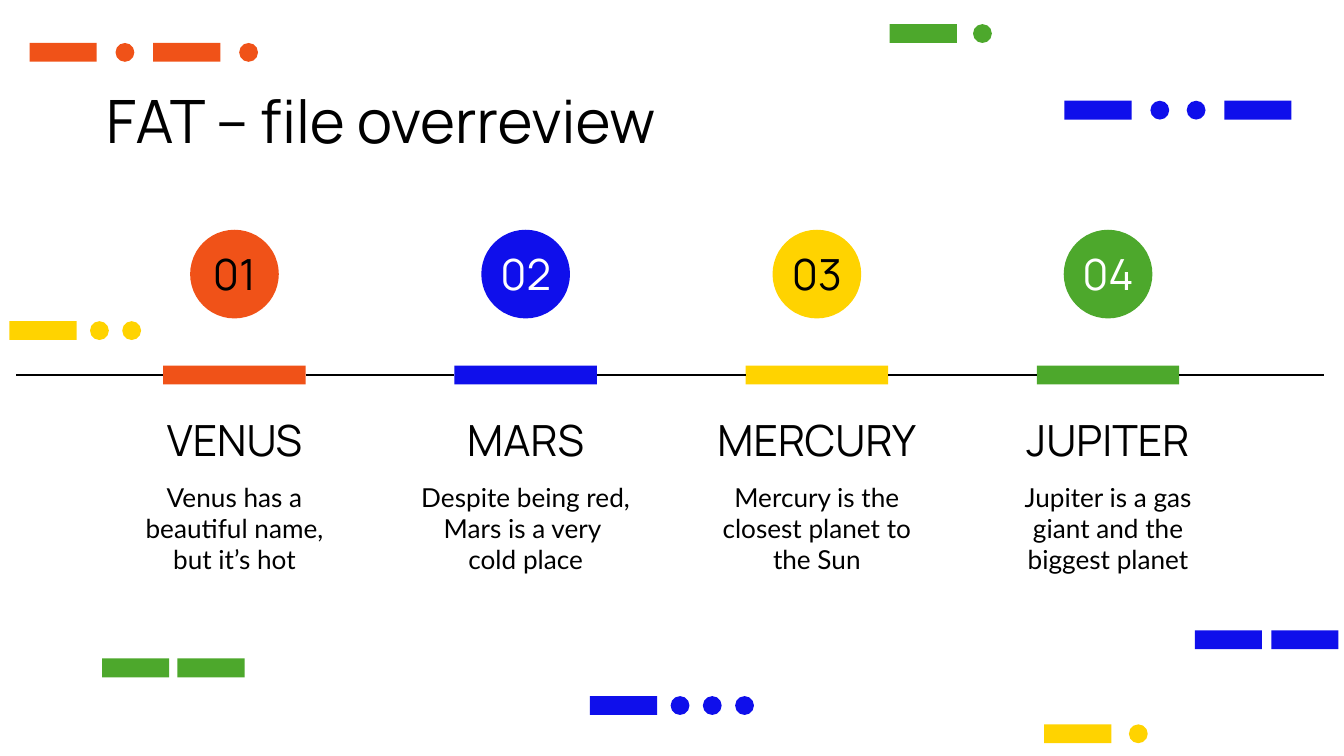
from pptx import Presentation
from pptx.dml.color import RGBColor
from pptx.enum import shapes, text
from pptx.oxml import parse_xml
from pptx.oxml.ns import nsdecls
from pptx.util import Inches, Pt

ORANGE, BLUE, YELLOW, GREEN = "F05218", "0F0FEB", "FFD300", "4DA82C"
BLACK, WHITE = "000000", "FFFFFF"
HEADING_FONT, BODY_FONT = "Manrope", "Lato"
RECTANGLE, OVAL = shapes.MSO_SHAPE.RECTANGLE, shapes.MSO_SHAPE.OVAL
TOP, MIDDLE = text.MSO_ANCHOR.TOP, text.MSO_ANCHOR.MIDDLE
LEFT, CENTER = text.PP_ALIGN.LEFT, text.PP_ALIGN.CENTER

PAGE_WIDTH = 10
PAGE_HEIGHT = PAGE_WIDTH * 9 / 16
DASH, DOT = 0.5, 0.14  # widths of the decorative marks
BAR_HEIGHT = 0.14
STEP_WIDTH, STEP_PITCH = 1.81, 6.5 / 3
LINE_START, LINE_END = 0.12, 9.85

# Number, colour, number colour, heading, heading width, description
STEPS = [
    ("01", ORANGE, BLACK, "VENUS", 1.81, "Venus has a beautiful name, but it’s hot"),
    ("02", BLUE, WHITE, "MARS", 1.81, "Despite being red, Mars is a very \ncold place"),
    ("03", YELLOW, BLACK, "MERCURY", 2.13, "Mercury is the closest planet to the Sun"),
    ("04", GREEN, WHITE, "JUPITER", 1.81, "Jupiter is a gas giant and the biggest planet"),
]

# Colour, top, and the marks as (left, width)
ORNAMENTS = [
    (GREEN, 4.9, [(0.76, DASH), (1.32, DASH)]),
    (YELLOW, 5.39, [(7.77, DASH), (8.4, DOT)]),
    (YELLOW, 2.39, [(0.07, DASH), (0.67, DOT), (0.91, DOT)]),
    (GREEN, 0.18, [(6.62, DASH), (7.24, DOT)]),
    (BLUE, 0.75, [(7.92, DASH), (8.56, DOT), (8.83, DOT), (9.11, DASH)]),
    (BLUE, 5.18, [(4.39, DASH), (4.99, DOT), (5.23, DOT), (5.47, DOT)]),
    (ORANGE, 0.32, [(0.22, DASH), (0.86, DOT), (1.14, DASH), (1.78, DOT)]),
    (BLUE, 4.69, [(8.89, DASH), (9.46, DASH)]),
]


def color(hex_string):
    return RGBColor.from_string(hex_string)


def inches(*lengths):
    return [Inches(length) for length in lengths]


def add_block(parent, kind, left, top, width, height, fill):
    block = parent.shapes.add_shape(kind, *inches(left, top, width, height))
    block.shadow.inherit = False
    block.fill.solid()
    block.fill.fore_color.rgb = color(fill)
    block.line.fill.background()
    return block


def write(box, content, size, font, fill=BLACK, align=CENTER, anchor=TOP, inset=0.1):
    frame = box.text_frame
    frame.text = content
    frame.word_wrap = True
    frame.auto_size = text.MSO_AUTO_SIZE.NONE
    frame.vertical_anchor = anchor
    frame.margin_left = Inches(inset)
    frame.margin_top = frame.margin_right = frame.margin_bottom = Inches(0.1)
    for para in frame.paragraphs:
        para.alignment = align
        for span in para.runs:
            span.font.size = Pt(size)
            span.font.name = font
            span.font.color.rgb = color(fill)


def add_text(page, left, top, width, height, content, size, font, **style):
    box = page.shapes.add_textbox(*inches(left, top, width, height))
    write(box, content, size, font, **style)


def add_title(page, left, top, width, height):
    title = page.shapes.title
    title.left, title.top, title.width, title.height = inches(left, top, width, height)
    write(title, "FAT – file overreview", 32, HEADING_FONT, align=LEFT, inset=0)


def add_step(page, left, top, width, step):
    number, fill, number_fill, heading, heading_width, description = step
    center = left + width / 2
    # Numbered circle
    add_block(page, OVAL, center - 0.33, top, 0.66, 0.66, fill)
    add_text(page, center - 0.55, top + 0.18, 1.1, 0.29, number, 23, HEADING_FONT,
             fill=number_fill, anchor=MIDDLE)
    # Heading and description
    add_text(page, center - heading_width / 2, top + 1.35, heading_width, 0.42,
             heading, 23, HEADING_FONT, anchor=MIDDLE)
    add_text(page, left, top + 1.77, width, 0.8, description, 14, BODY_FONT)
    # Marker on the timeline
    return add_block(page, RECTANGLE, center - 0.53, top + 1.01, 1.06, BAR_HEIGHT, fill)


def add_timeline(page, left, top):
    markers = [add_step(page, left + index * STEP_PITCH, top, STEP_WIDTH, step)
               for index, step in enumerate(STEPS)]
    # Lines between the markers and out to both ends
    middle = top + 1.01 + BAR_HEIGHT / 2
    for before, after in zip([None] + markers, markers + [None]):
        line = page.shapes.add_connector(
            shapes.MSO_CONNECTOR.STRAIGHT, *inches(LINE_START, middle, LINE_END, middle))
        if before is not None:
            line.begin_connect(before, 3)
        if after is not None:
            line.end_connect(after, 1)
        line.line.color.rgb = color(BLACK)
        line.line.width = Pt(1.5)
        line._element.spPr.append(parse_xml(f"<a:effectLst {nsdecls('a')}/>"))


def add_ornament(page, fill, top, marks):
    group = page.shapes.add_group_shape()
    for left, width in marks:
        kind = RECTANGLE if width == DASH else OVAL
        add_block(group, kind, left, top, width, BAR_HEIGHT, fill)


def main():
    deck = Presentation()
    deck.slide_width, deck.slide_height = inches(PAGE_WIDTH, PAGE_HEIGHT)
    page = deck.slides.add_slide(deck.slide_layouts[5])
    page.background.fill.solid()
    page.background.fill.fore_color.rgb = color(WHITE)
    add_title(page, 0.79, 0.52, 8.43, 0.63)
    add_timeline(page, 0.84, 1.71)
    for ornament in ORNAMENTS:
        add_ornament(page, *ornament)
    deck.save("out.pptx")


if __name__ == "__main__":
    main()
